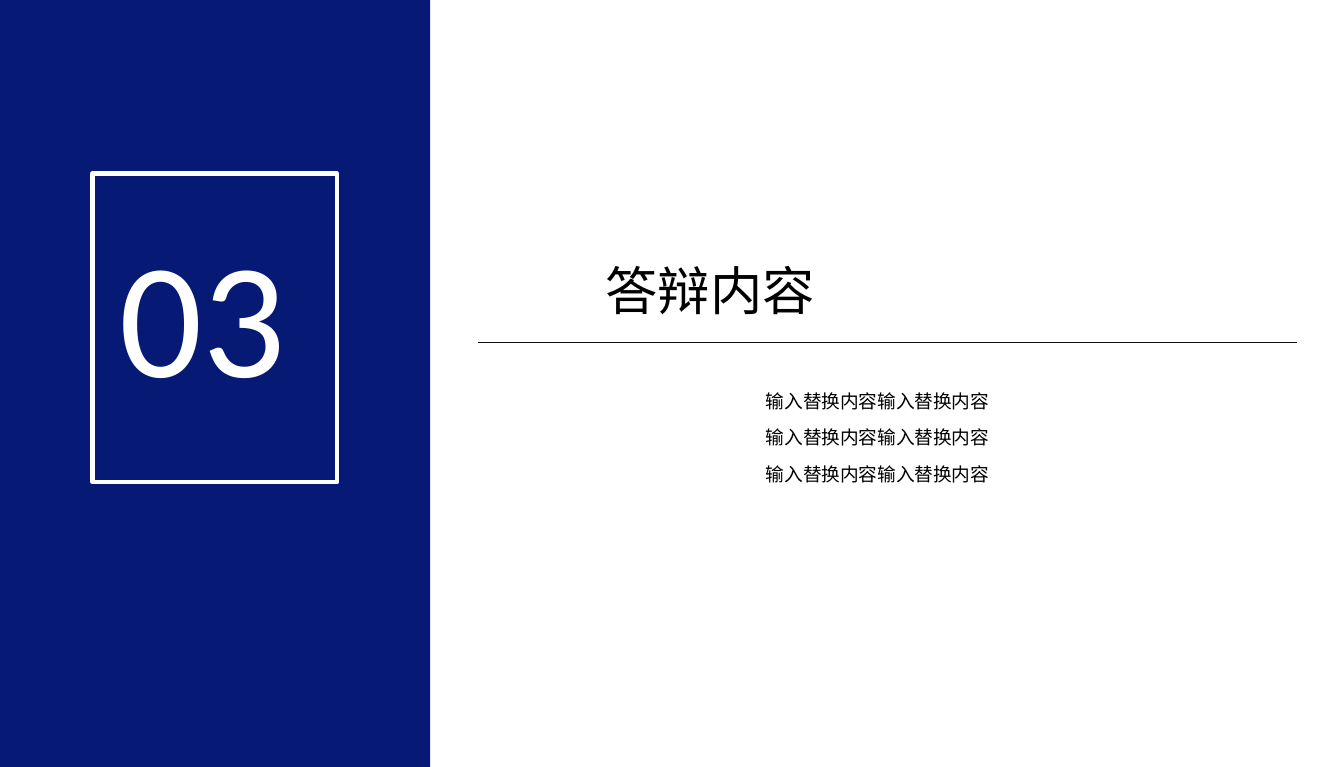
from lxml import etree
from pptx import Presentation
from pptx.dml.color import RGBColor
from pptx.enum.shapes import MSO_CONNECTOR, MSO_SHAPE
from pptx.enum.text import MSO_AUTO_SIZE, PP_ALIGN
from pptx.oxml.ns import qn
from pptx.util import Cm, Pt

RECT = MSO_SHAPE.RECTANGLE
LINE = MSO_CONNECTOR.STRAIGHT
GROW = MSO_AUTO_SIZE.SHAPE_TO_FIT_TEXT
LEFT, MID = PP_ALIGN.LEFT, PP_ALIGN.CENTER

NUMBER = "03"
TITLE = "答辩内容"
POINTS = ["输入替换内容输入替换内容"] * 3

INK = {"navy": "061975", "white": "FFFFFF", "rule": "0D0D0D", "black": "000000"}
HAN = "Noto Sans CJK SC"
STYLE = {
    "number": {"name": "Calibri", "size": Pt(88), "ink": "white"},
    "title": {"name": HAN, "size": Pt(28), "ink": "black"},
    "point": {"name": HAN, "size": Pt(10), "ink": "black"},
}

WIDE, HIGH = 25.4, 14.5
PANEL = (0, 0, 8.13, HIGH)
FRAME = (1.75, 3.28, 4.62, 5.84)
RULE = (9.04, 6.48, 24.51, 6.48)
TOP, STEP = 7.24, 0.69

TEXTS = [
    (NUMBER, (2.01, 3.91, 4.57, 4.01), "number", LEFT, False),
    (TITLE, (11.2, 4.75, 4.5, 1.45), "title", LEFT, False),
] + [
    (text, (RULE[0], TOP + i * STEP, 15.09, STEP), "point", MID, True)
    for i, text in enumerate(POINTS)
]


def color(key):
    return RGBColor.from_string(INK[key])


def add_rect(slide, area, fill=None, edge=None):
    shape = slide.shapes.add_shape(RECT, *map(Cm, area))
    shape.shadow.inherit = False
    if fill:
        shape.fill.solid()
        shape.fill.fore_color.rgb = color(fill)
    else:
        shape.fill.background()
    if edge:
        shape.line.color.rgb = color(edge)
        shape.line.width = Pt(2.25)
    else:
        shape.line.fill.background()


def add_text(slide, text, area, style, align, wrap):
    frame = slide.shapes.add_textbox(*map(Cm, area)).text_frame
    frame.word_wrap = wrap
    frame.auto_size = GROW
    para = frame.paragraphs[0]
    para.alignment = align
    run = para.add_run()
    run.text = text
    look = dict(STYLE[style])
    run.font.color.rgb = color(look.pop("ink"))
    for key, value in look.items():
        setattr(run.font, key, value)
    props = run._r.get_or_add_rPr()
    etree.SubElement(props, qn("a:ea")).set("typeface", look["name"])


def main():
    deck = Presentation()
    deck.slide_width, deck.slide_height = Cm(WIDE), Cm(HIGH)
    slide = deck.slides.add_slide(deck.slide_layouts[6])

    add_rect(slide, PANEL, fill="navy")
    add_rect(slide, FRAME, edge="white")
    rule = slide.shapes.add_connector(LINE, *map(Cm, RULE))
    rule.line.color.rgb = color("rule")
    rule.line.width = Pt(0.5)
    etree.SubElement(rule._element.spPr, qn("a:effectLst"))
    for item in TEXTS:
        add_text(slide, *item)

    deck.save("out.pptx")


if __name__ == "__main__":
    main()
